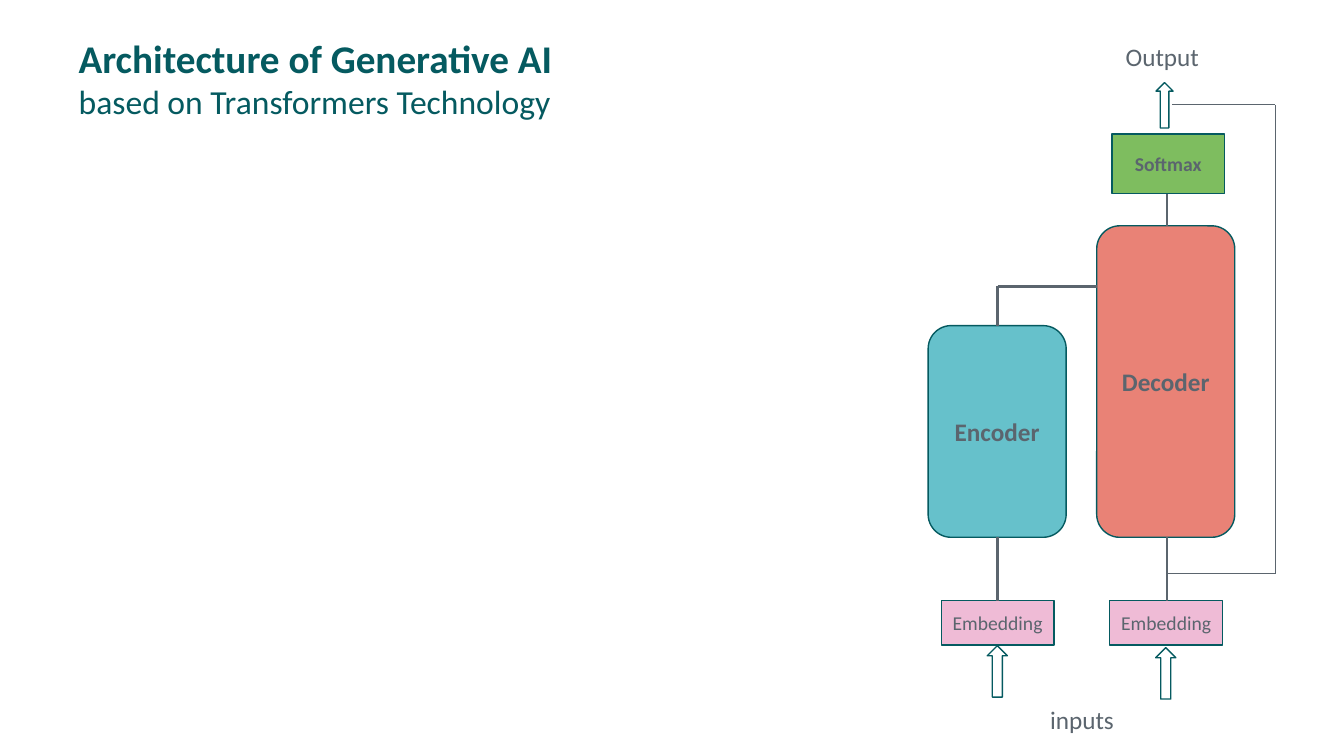
from pptx import Presentation
from pptx.dml.color import RGBColor
from pptx.enum.shapes import MSO_CONNECTOR as LINK, MSO_SHAPE as SHAPE
from pptx.enum.text import MSO_ANCHOR as ANCHOR, MSO_AUTO_SIZE as FIT, PP_ALIGN as ALIGN
from pptx.oxml.ns import qn
from pptx.util import Pt
from lxml.etree import SubElement

TEAL, GREY = "055A60", "5B656E"


def colour(value):
    """Turn a hex string into a colour."""
    return RGBColor.from_string(value)


def apply(target, values):
    """Set each attribute named in a dict."""
    for key, value in values.items():
        setattr(target, key, value)


def write(paragraph, words, size, shade=GREY, bold=False, align=ALIGN.LEFT):
    """Put formatted words in a paragraph."""
    run = paragraph.add_run()
    run.text = words
    apply(run.font, {"name": "Calibri", "size": Pt(size), "bold": bold})
    run.font.color.rgb = colour(shade)
    apply(paragraph, {"alignment": align, "line_spacing": 1.0, "space_before": Pt(0)})


def add_block(parts, kind, left, top, width, height, fill=None):
    """Draw a teal-edged shape, hollow unless a fill is given."""
    block = parts.add_shape(kind, Pt(left), Pt(top), Pt(width), Pt(height))
    block.shadow.inherit = False
    block.line.color.rgb = colour(TEAL)
    block.line.width = Pt(1)
    if fill:
        block.fill.solid()
        block.fill.fore_color.rgb = colour(fill)
    else:
        block.fill.background()
    return block


def add_stage(parts, kind, box, fill, words, size, bold):
    """Draw a labelled stage of the model."""
    frame = add_block(parts, kind, *box, fill).text_frame
    apply(frame, {"word_wrap": True, "vertical_anchor": ANCHOR.MIDDLE})
    write(frame.paragraphs[0], words, size, bold=bold, align=ALIGN.CENTER)


def add_caption(parts, left, top, words):
    """Place a caption for the model's input or output."""
    frame = parts.add_textbox(Pt(left), Pt(top), Pt(80.6), Pt(28.8)).text_frame
    frame.word_wrap = True
    write(frame.paragraphs[0], words, 18)


def add_path(parts, points, weight):
    """Join successive points with straight lines."""
    for start, end in zip(points, points[1:]):
        link = parts.add_connector(LINK.STRAIGHT, *map(Pt, start + end))
        link.line.color.rgb = colour(GREY)
        link.line.width = Pt(weight)
        SubElement(link._element.spPr, qn("a:effectLst"))


def add_heading(slide, left, top, width, height):
    """Place the two-line title."""
    title = slide.shapes.title
    apply(title, {"left": Pt(left), "top": Pt(top), "width": Pt(width), "height": Pt(height)})
    frame = title.text_frame
    apply(frame, {"word_wrap": True, "auto_size": FIT.NONE, "vertical_anchor": ANCHOR.TOP})
    write(frame.paragraphs[0], "Architecture of Generative AI", 28, TEAL, True)
    write(frame.add_paragraph(), "based on Transformers Technology", 24, TEAL)


def add_transformer(slide, left, top):
    """Draw the encoder-decoder diagram from its top left corner."""
    parts = slide.shapes.add_group_shape().shapes
    encoder_x, decoder_x, loop_x = left + 49.6, left + 170.6, left + 247.8
    encoder_top, decoder_top, base = top + 206.6, top + 135.3, top + 357.8
    embed_top, softmax_top = top + 403.1, top + 69.8
    bridge_y, loop_top, loop_base = top + 178.5, top + 48.9, top + 383.7

    for words, x, y, fill in (("Encoder", left, encoder_top, "66C1CB"),
                              ("Decoder", left + 120.4, decoder_top, "E98276")):
        add_stage(parts, SHAPE.ROUNDED_RECTANGLE, (x, y, 98.6, base - y), fill, words, 18, True)
        add_stage(parts, SHAPE.RECTANGLE, (x + 9.3, embed_top, 80.6, 31.7),
                  "EFBBD6", "Embedding", 14, False)
    add_stage(parts, SHAPE.RECTANGLE, (left + 131.2, softmax_top, 80.6, 42.5),
              "7EBD5F", "Softmax", 14, True)

    for x, y, width, height in ((162.5, 436.6, 14.4, 36.7), (42.2, 435.2, 14.4, 36.7),
                                (162.8, 33, 12.2, 32.4)):
        add_block(parts, SHAPE.UP_ARROW, left + x, top + y, width, height)

    add_caption(parts, left + 134, top, "Output")
    add_caption(parts, left + 80, top + 473.7, "inputs")

    add_path(parts, [(encoder_x, encoder_top), (encoder_x, bridge_y),
                     (left + 120.4, bridge_y)], 2)
    add_path(parts, [(decoder_x, loop_base), (loop_x, loop_base),
                     (loop_x, loop_top), (left + 174.4, loop_top)], 0.5)
    add_path(parts, [(decoder_x, softmax_top + 42.5), (decoder_x, decoder_top)], 2)
    for x in (encoder_x, decoder_x):
        add_path(parts, [(x, base), (x, embed_top)], 2)


def main():
    """Build and save the slide."""
    deck = Presentation()
    apply(deck, {"slide_width": Pt(960), "slide_height": Pt(540)})
    slide = deck.slides.add_slide(deck.slide_layouts[5])
    add_heading(slide, 49, 20.9, 771, 70.6)
    add_transformer(slide, 663, 26)
    deck.save("out.pptx")


if __name__ == "__main__":
    main()
